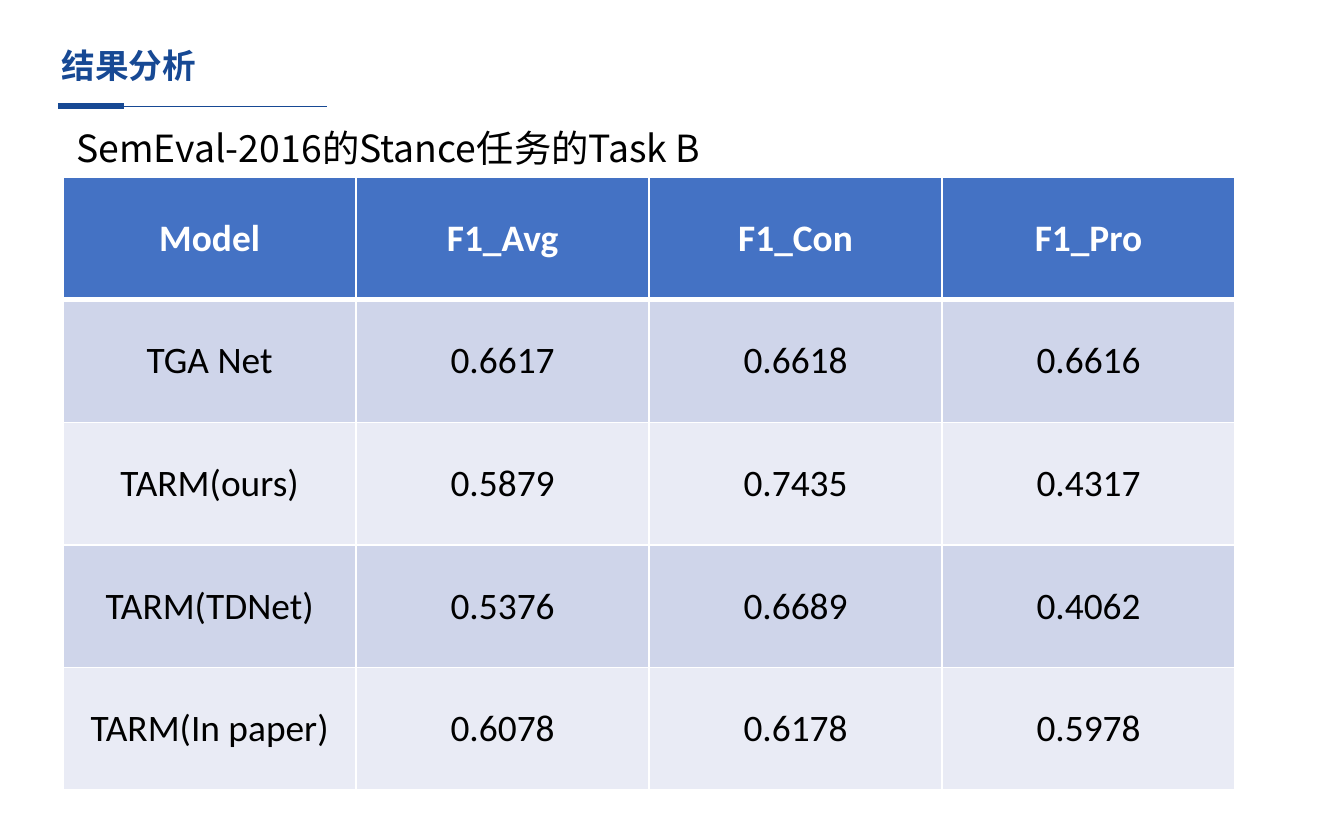
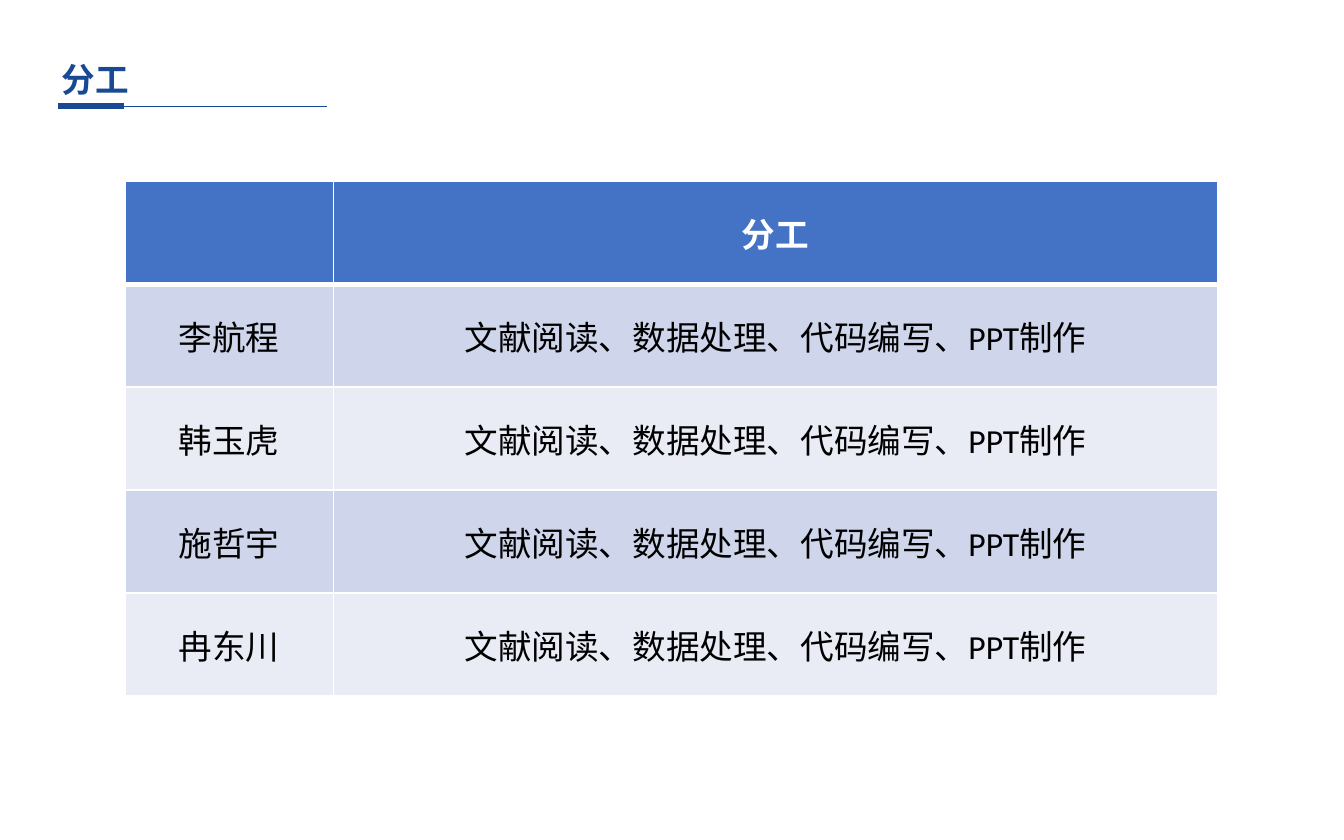
from pptx import Presentation, util as u
from pptx.dml.color import RGBColor
from pptx.enum import shapes, text
from pptx.oxml import parse_xml
from pptx.oxml.ns import nsdecls
from lxml import etree

NAVY = RGBColor(0x17, 0x49, 0x94)
BLUE = RGBColor(0x44, 0x72, 0xC4)
BANDS = RGBColor(0xE9, 0xEB, 0xF5), RGBColor(0xCF, 0xD5, 0xEA)
WHITE = RGBColor(0xFF, 0xFF, 0xFF)
BLACK = RGBColor(0, 0, 0)
CJK = "Noto Sans CJK SC"
A = "{http://schemas.openxmlformats.org/drawingml/2006/main}"


class Deck:
    """Holds the shared style and draws on the current slide."""

    def __init__(self):
        self.prs = Presentation()
        self.prs.slide_width = u.Inches(10)
        self.prs.slide_height = u.Inches(6.25)

    def page(self, title, top):
        self.slide = self.prs.slides.add_slide(self.prs.slide_layouts[6])
        self.rule(2.43, 0.5)
        self.rule(0.92, 3)
        frame = self.label(title, (0.36, top, 7.43, 0.56), 18, "Arial", NAVY, True)
        frame.vertical_anchor = text.MSO_ANCHOR.MIDDLE
        frame.paragraphs[0].line_spacing = 0.9

    def rule(self, end, width):
        y = u.Inches(0.79)
        line = self.slide.shapes.add_connector(
            shapes.MSO_CONNECTOR.STRAIGHT, u.Inches(0.43), y, u.Inches(end), y)
        line.line.color.rgb = NAVY
        line.line.width = u.Pt(width)
        etree.SubElement(line._element.spPr, A + "effectLst")

    def style(self, para, size, face, color, bold=False):
        for run in para.runs:
            font = run.font
            font.size, font.name, font.bold = u.Pt(size), face, bold
            font.color.rgb = color
            east = etree.Element(A + "ea", typeface=CJK)
            run._r.rPr.find(A + "latin").addnext(east)

    def label(self, words, box, size, face, color, bold=False):
        frame = self.slide.shapes.add_textbox(*map(u.Inches, box)).text_frame
        frame.word_wrap = True
        frame.text = words
        self.style(frame.paragraphs[0], size, face, color, bold)
        return frame

    def edge(self, cell, row):
        widths = {"L": 1, "R": 1, "T": 3 if row == 1 else 1, "B": 1 if row else 3}
        for i, (side, width) in enumerate(widths.items()):
            cell._tc.get_or_add_tcPr().insert(i, parse_xml(
                f'<a:ln{side} {nsdecls("a")} w="{u.Pt(width)}"><a:solidFill>'
                f'<a:srgbClr val="{WHITE}"/></a:solidFill></a:ln{side}>'))

    def table(self, rows, left, top, cols, height, size):
        box = map(u.Inches, (left, top, sum(cols), height))
        grid = self.slide.shapes.add_table(len(rows), len(cols), *box).table
        for col, width in zip(grid.columns, cols):
            col.width = u.Inches(width)
        for r, row in enumerate(rows):
            for c, words in enumerate(row):
                cell = grid.cell(r, c)
                cell.text = words
                cell.vertical_anchor = text.MSO_ANCHOR.MIDDLE
                cell.fill.solid()
                cell.fill.fore_color.rgb = BANDS[r % 2] if r else BLUE
                para = cell.text_frame.paragraphs[0]
                para.alignment = text.PP_ALIGN.CENTER
                self.style(para, size, "Calibri", BLACK if r else WHITE, r == 0)
                self.edge(cell, r)


def main():
    deck = Deck()

    deck.page("结果分析", 0.22)
    deck.label("SemEval-2016的Stance任务的Task B", (0.47, 0.88, 5, 0.44), 20, CJK, BLACK)
    scores = [
        ("Model", "F1_Avg", "F1_Con", "F1_Pro"),
        ("TGA Net", "0.6617", "0.6618", "0.6616"),
        ("TARM(ours)", "0.5879", "0.7435", "0.4317"),
        ("TARM(TDNet)", "0.5376", "0.6689", "0.4062"),
        ("TARM(In paper)", "0.6078", "0.6178", "0.5978"),
    ]
    deck.table(scores, 0.47, 1.32, [2.18] * 4, 4.56, 20)

    deck.page("分工", 0.33)
    duty = "文献阅读、数据处理、代码编写、PPT制作"
    team = "李航程", "韩玉虎", "施哲宇", "冉东川"
    rows = [("", "分工")] + [(name, duty) for name in team]
    deck.table(rows, 0.93, 1.35, [1.55, 6.58], 3.83, 18)

    deck.prs.save("out.pptx")


if __name__ == "__main__":
    main()
